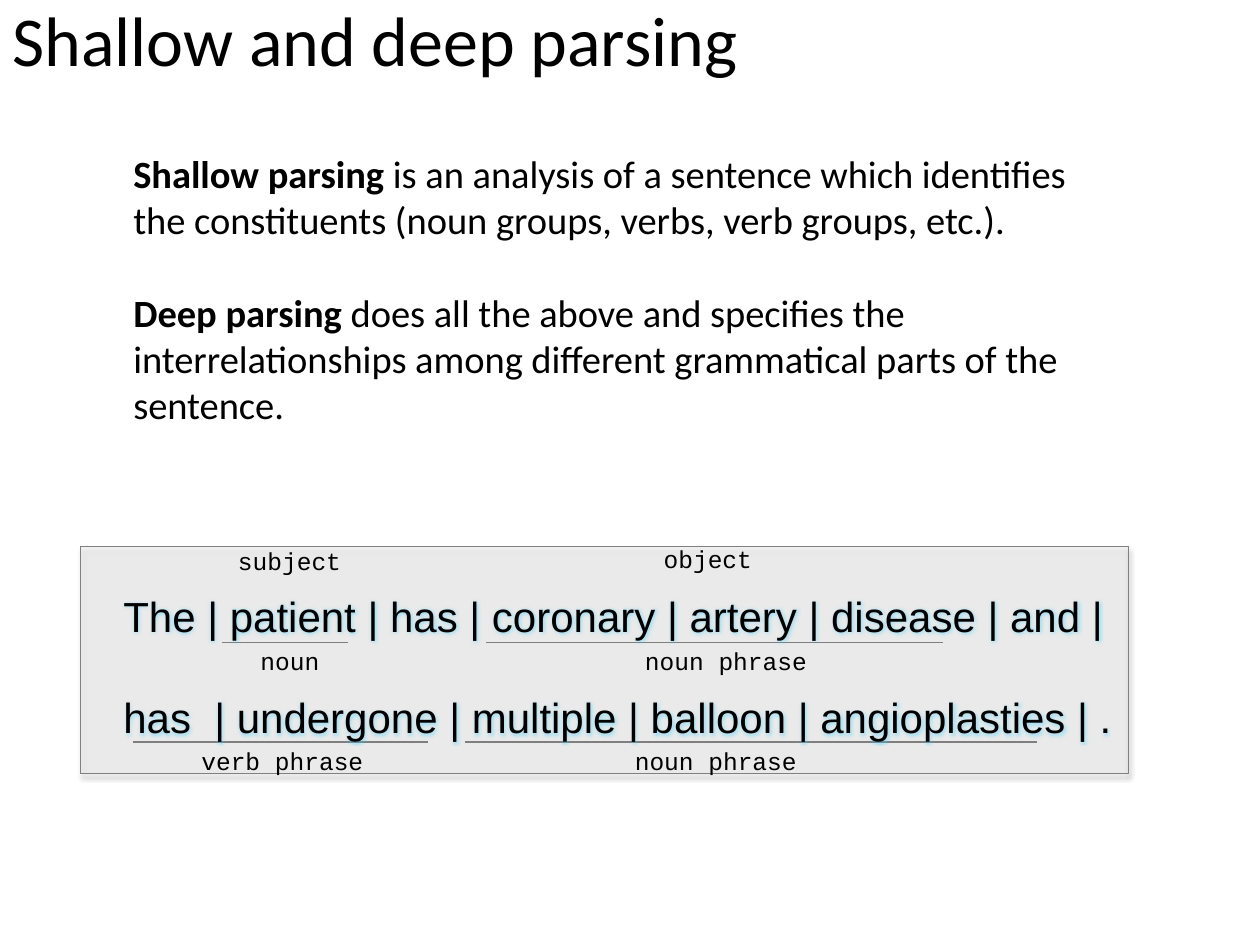
import pptx
import pptx.util
import pptx.dml.color
import pptx.enum.shapes
import pptx.enum.text
import pptx.oxml
from lxml import etree

Pt = pptx.util.Pt
NS = "http://schemas.openxmlformats.org/drawingml/2006/main"


def colour(hex_string):
    return pptx.dml.color.RGBColor.from_string(hex_string)


def effects(body=""):
    return pptx.oxml.parse_xml(f'<a:effectLst xmlns:a="{NS}">{body}</a:effectLst>')


class ParsingSlide:
    INK = "000000"
    RULE = "7F7F7F"
    GLOW = ('<a:glow rad="63500"><a:srgbClr val="33CCFF">'
            '<a:alpha val="40000"/></a:srgbClr></a:glow>')
    SHADOW = ('<a:outerShdw blurRad="39370" dist="22860" dir="5400000" rotWithShape="0">'
              '<a:srgbClr val="000000"><a:alpha val="35000"/></a:srgbClr></a:outerShdw>')

    def __init__(self, slide):
        self.slide = slide

    def panel(self, left, top, width, height):
        panel = self.slide.shapes.add_shape(
            pptx.enum.shapes.MSO_SHAPE.RECTANGLE,
            Pt(left), Pt(top), Pt(width), Pt(height))
        panel.fill.solid()
        panel.fill.fore_color.rgb = colour("BFBFBF")
        fill = panel.fill.fore_color._xFill.find(f"{{{NS}}}srgbClr")
        etree.SubElement(fill, f"{{{NS}}}alpha", val="15000")
        panel.line.color.rgb = colour("808080")
        panel.line.width = Pt(0.75)
        panel._element.spPr.append(effects(self.SHADOW))

    def text(self, left, top, width, height, paragraphs, font, size,
             spacing=None, gap=0, wrap=True, glow=False):
        """Each paragraph is a list of (wording, bold) runs."""
        frame = self.slide.shapes.add_textbox(
            Pt(left), Pt(top), Pt(width), Pt(height)).text_frame
        frame.word_wrap = wrap
        frame.vertical_anchor = pptx.enum.text.MSO_ANCHOR.TOP
        for index, runs in enumerate(paragraphs):
            paragraph = frame.add_paragraph() if index else frame.paragraphs[0]
            if spacing:
                paragraph.line_spacing = spacing
            paragraph.space_before = Pt(gap if index else 0)
            for wording, bold in runs:
                run = paragraph.add_run()
                run.text = wording
                run.font.name = font
                run.font.size = Pt(size)
                run.font.bold = bold
                run.font.color.rgb = colour(self.INK)
                if glow:
                    run.font.fill._xPr.find(f"{{{NS}}}solidFill").addnext(effects(self.GLOW))

    def label(self, left, top, wording):
        # Courier New at 14 pt advances 8.4 pt per letter
        self.text(left, top, 8.4 * len(wording) + 15.6, 24.5,
                  [[(wording, False)]], "Courier New", 14, wrap=False)

    def underline(self, start, end, y):
        rule = self.slide.shapes.add_connector(
            pptx.enum.shapes.MSO_CONNECTOR.STRAIGHT, Pt(start), Pt(y), Pt(end), Pt(y))
        rule.line.color.rgb = colour(self.RULE)
        rule.line.width = Pt(1)
        rule._element.spPr.append(effects())


def main():
    deck = pptx.Presentation()
    deck.slide_width, deck.slide_height = Pt(720), Pt(540)
    page = ParsingSlide(deck.slides.add_slide(deck.slide_layouts[6]))

    # Panel and title
    page.panel(46, 312.5, 599, 129.6)
    page.text(0, 0, 684, 90, [[("Shallow and deep parsing", False)]],
              "Calibri", 40, spacing=0.9)

    # Grammatical roles above the sentence
    page.label(128.9, 308.2, "subject")
    page.label(372.2, 307.4, "object")

    # Underlined phrases: line start, line end, line height, label left, label
    phrases = [
        (126.7, 198.7, 367.2, 141.8, "noun"),
        (277.9, 538.6, 367.2, 361.5, "noun phrase"),
        (76.3, 244.8, 424.1, 108, "verb phrase"),
        (265.7, 592.6, 424.1, 355.7, "noun phrase"),
    ]
    for start, end, y, label_left, wording in phrases:
        page.underline(start, end, y)
        page.label(label_left, y - 1.4, wording)

    # Parsed sentence
    sentence = [
        "The | patient | has | coronary | artery | disease | and |",
        "has  | undergone | multiple | balloon | angioplasties | .",
    ]
    page.text(63.4, 305.3, 604.8, 123.8, [[(line, False)] for line in sentence],
              "Arial", 24, spacing=2.0, glow=True)

    # Definitions
    definitions = [
        [("Shallow parsing ", True),
         ("is an analysis of a sentence which identifies the constituents "
          "(noun groups, verbs, verb groups, etc.).", False)],
        [("Deep parsing ", True),
         ("does all the above and specifies the interrelationships among "
          "different grammatical parts of the sentence.", False)],
    ]
    page.text(69.1, 82.1, 581, 167, definitions, "Calibri", 22, gap=26.6)

    deck.save("out.pptx")


if __name__ == "__main__":
    main()
